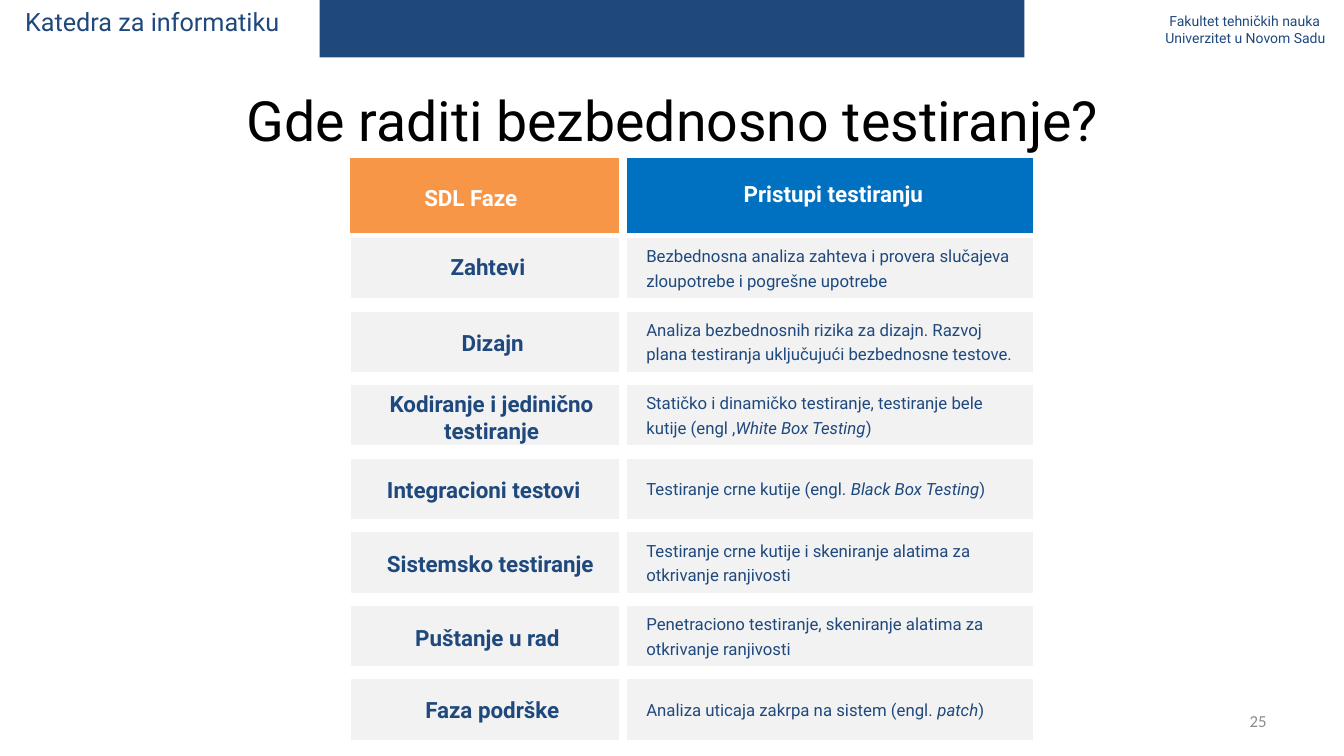
from pptx import Presentation
from pptx import util as u
from pptx.dml.color import RGBColor
from pptx.enum import shapes, text

PX = 9144
COLORS = {
    "navy": "1F497D",
    "orange": "F79646",
    "blue": "0070C0",
    "pale": "F2F2F2",
    "white": "FFFFFF",
    "black": "000000",
    "grey": "8C8C8C",
}
LEFT, CENTER, RIGHT = text.PP_ALIGN.LEFT, text.PP_ALIGN.CENTER, text.PP_ALIGN.RIGHT
TOP, MIDDLE = text.MSO_ANCHOR.TOP, text.MSO_ANCHOR.MIDDLE

PHASES = [
    ("Zahtevi", (91, 12, 206, 37), LEFT,
     ["Bezbednosna analiza zahteva i provera slučajeva zloupotrebe i pogrešne upotrebe"]),
    ("Dizajn", (102, 14, 206, 37), LEFT,
     ["Analiza bezbednosnih rizika za dizajn. Razvoj plana testiranja "
      "uključujući bezbednosne testove."]),
    ("Kodiranje i jedinično testiranje", (-6, 2, 295, 64), CENTER,
     ["Statičko i dinamičko testiranje, testiranje bele kutije (engl ,",
      "White Box Testing", ")"]),
    ("Integracioni testovi", (28, 14, 270, 37), LEFT,
     ["Testiranje crne kutije (engl. ", "Black Box Testing", ")"]),
    ("Sistemsko testiranje", (28, 15, 243, 37), LEFT,
     ["Testiranje crne kutije i skeniranje alatima za otkrivanje ranjivosti"]),
    ("Puštanje u rad", (56, 15, 206, 37), LEFT,
     ["Penetraciono testiranje, skeniranje alatima za otkrivanje ranjivosti"]),
    ("Faza podrške", (66, 13, 206, 37), LEFT,
     ["Analiza uticaja zakrpa na sistem (engl. ", "patch", ")"]),
]


def color(name):
    return RGBColor.from_string(COLORS[name])


def place(box):
    return [u.Emu(length * PX) for length in box]


def add_block(page, box, fill, outlined=True):
    block = page.shapes.add_shape(shapes.MSO_SHAPE.RECTANGLE, *place(box))
    block.shadow.inherit = False
    block.fill.solid()
    block.fill.fore_color.rgb = color(fill)
    if outlined:
        block.line.color.rgb = color("white")
        block.line.width = u.Pt(3)
    else:
        block.line.fill.background()


def add_text(page, box, paragraphs, size, ink, align=LEFT, anchor=MIDDLE,
             bold=False, font="Roboto", wrap=True):
    frame = page.shapes.add_textbox(*place(box)).text_frame
    frame.word_wrap = wrap
    frame.vertical_anchor = anchor
    for index, spans in enumerate(paragraphs):
        para = frame.add_paragraph() if index else frame.paragraphs[0]
        para.alignment = align
        for position, words in enumerate(spans):
            span = para.add_run()
            span.text = words
            span.font.name = font
            span.font.size = u.Pt(size)
            span.font.bold = bold
            span.font.italic = position % 2 == 1
            span.font.color.rgb = color(ink)
    return frame


def add_header(page, box):
    left, top, width, height = box
    frame = add_text(page, (left + 1143, top + 8, 209, 44),
                     [["Fakultet tehničkih nauka"], ["Univerzitet u Novom Sadu"]],
                     10, "navy", anchor=TOP)
    for para, indent in zip(frame.paragraphs, (7, 3)):
        para._p.get_or_add_pPr().set("marL", str(indent * PX))
    add_block(page, (left + 317, top - 2, 699, height), "navy", outlined=False)
    add_text(page, (left + 15, top + 1, 321, 40), [["Katedra za informatiku"]],
             18, "navy", anchor=TOP)


def add_headings(page, box):
    left, top, width, height = box
    add_block(page, (left, top, 271, height), "orange")
    add_block(page, (left + 275, top, width - 275, height), "blue")
    add_text(page, (left + 66, top + 22, 116, 37), [["SDL Faze"]], 16, "white",
             bold=True, wrap=False)
    add_text(page, (left + 381, top + 19, 201, 37), [["Pristupi testiranju"]],
             16, "white", CENTER, bold=True, wrap=False)


def add_phase(page, box, label, label_box, align, approach):
    left, top, width, height = box
    add_block(page, (left, top, 270, height), "pale")
    add_block(page, (left + 274, top, width - 274, height), "pale")
    frame = add_text(page, (left + 290, top + 3, 381, 54), [approach], 12, "navy")
    frame.margin_left = frame.margin_right = u.Emu(5 * PX)
    frame.margin_top = frame.margin_bottom = u.Emu(3 * PX)
    frame.paragraphs[0].line_spacing = u.Pt(17.5)
    shift, drop, label_width, label_height = label_box
    add_text(page, (left + shift, top + drop, label_width, label_height),
             [[label]], 16, "navy", align, bold=True)


def add_phases(page, box, pitch):
    left, top, width, height = box
    for row, phase in enumerate(PHASES):
        add_phase(page, (left, top + row * pitch, width, height), *phase)


def main():
    deck = Presentation()
    deck.slide_width, deck.slide_height = place((1333, 750))
    page = deck.slides.add_slide(deck.slide_layouts[6])
    add_header(page, (0, 0, 1333, 59))
    add_text(page, (67, 81, 1200, 74), [["Gde raditi bezbednosno testiranje?"]],
             39.6, "black", CENTER)
    add_headings(page, (345, 155, 682, 78))
    add_phases(page, (346, 234, 681, 64), 73)
    add_text(page, (1188, 695, 78, 40), [["25"]], 12, "grey", RIGHT, font="Calibri")
    deck.save("out.pptx")


if __name__ == "__main__":
    main()
